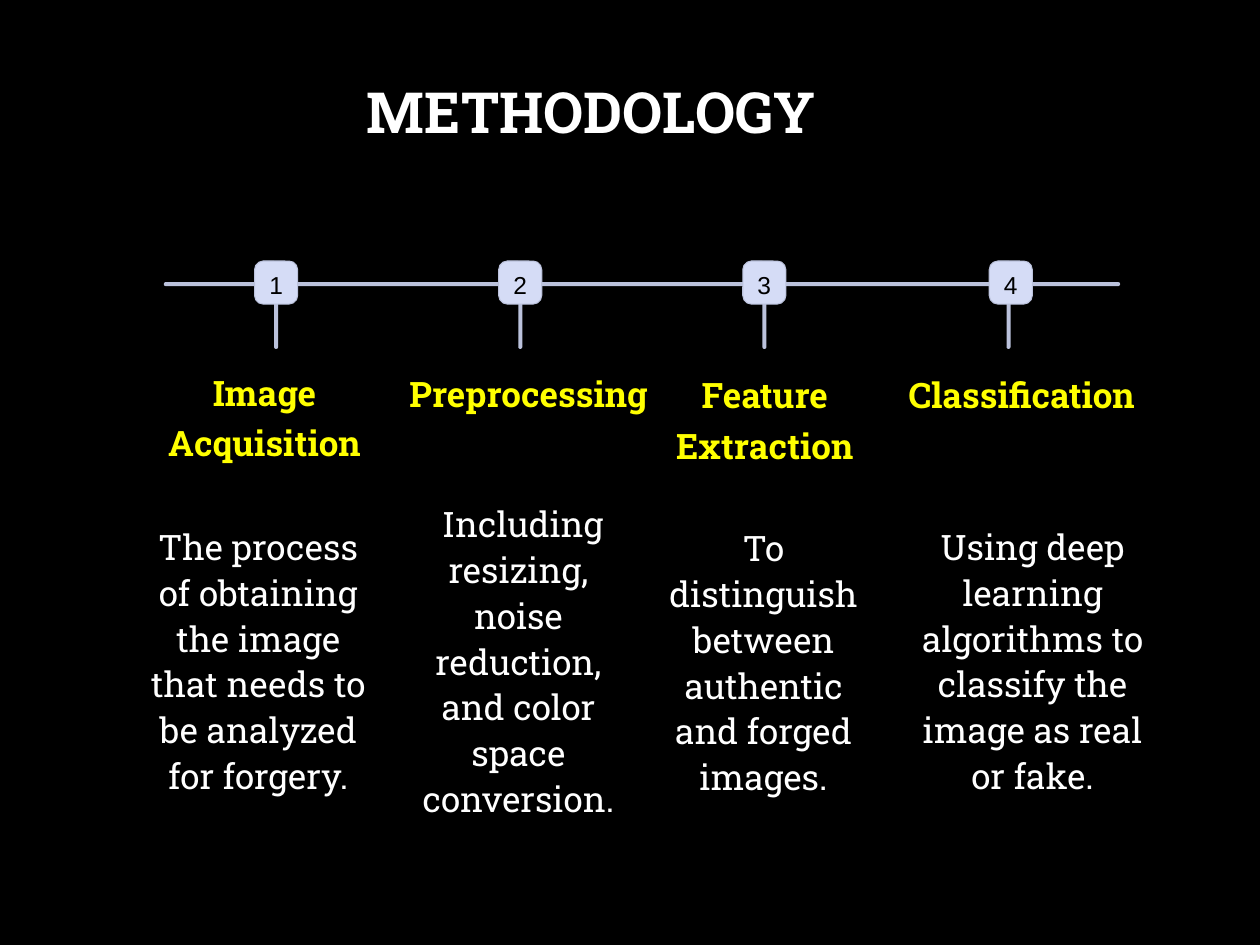
from pptx import Presentation
from pptx.dml.color import RGBColor
from pptx.enum.shapes import MSO_SHAPE
from pptx.enum.text import MSO_ANCHOR, PP_ALIGN
from pptx.util import Pt

ROUNDED = MSO_SHAPE.ROUNDED_RECTANGLE
MIDDLE = MSO_ANCHOR.MIDDLE
CENTER = PP_ALIGN.CENTER

BLACK = RGBColor(0x00, 0x00, 0x00)
WHITE = RGBColor(0xFF, 0xFF, 0xFF)
YELLOW = RGBColor(0xFF, 0xFF, 0x00)
RAIL = RGBColor(0xBB, 0xC2, 0xDC)
BADGE = RGBColor(0xD5, 0xDC, 0xF6)

SLAB = "Roboto Slab"
TITLE_FONT = {"name": SLAB, "size": Pt(32.4), "bold": True}
HEADING_FONT = {"name": SLAB, "size": Pt(20), "bold": True}
BODY_FONT = {"name": SLAB, "size": Pt(20), "bold": False}
NUMBER_FONT = {"name": "Arial", "size": Pt(14), "bold": False}

RAIL_TOP = 161.2
RAIL_WIDTH = 2.3
STEM_HEIGHT = 38.2
FIRST_STEM = 157.8
STEM_PITCH = 139.5
BADGE_SIZE = 24.6
BADGE_TOP = 149.2

# badge centre, heading, (left, top, width, height), body, (left, top, width, height)
STEPS = [
    (157.8, "Image Acquisition", (71.3, 203.8, 159.8, 63.4),
     "The process of obtaining the image that needs to be analyzed for forgery.",
     (74.2, 294.5, 146.9, 163.4)),
    (297.3, "Preprocessing", (220.3, 204.5, 163.4, 33.8),
     " Including resizing, noise reduction, and color space conversion.",
     (232.6, 281.5, 127.4, 189.4)),
    (436.8, "Feature Extraction", (356.4, 205.2, 161.3, 63.4),
     "To distinguish between authentic and forged images.",
     (373, 295.2, 126.7, 163.4)),
    (577.6, "Classification", (500.4, 205.2, 167, 33.8),
     "Using deep learning algorithms to classify the image as real or fake.",
     (513.4, 294.5, 153.4, 163.4)),
]


def write(tf, text, font, color, spacing=None):
    tf.word_wrap = True
    p = tf.paragraphs[0]
    p.alignment = CENTER
    p.line_spacing = spacing
    r = p.add_run()
    r.text = text
    for name, value in font.items():
        setattr(r.font, name, value)
    r.font.color.rgb = color


def add_title(slide, text):
    sp = slide.shapes.title
    sp.left, sp.top, sp.width, sp.height = Pt(20.2), Pt(37.4), Pt(635), Pt(56.9)
    sp.text_frame.vertical_anchor = MIDDLE
    write(sp.text_frame, text, TITLE_FONT, WHITE, 0.9)


def add_rounded(slide, left, top, width, height, color, corner):
    sp = slide.shapes.add_shape(ROUNDED, Pt(left), Pt(top), Pt(width), Pt(height))
    sp.adjustments[0] = corner
    sp.shadow.inherit = False
    sp.fill.solid()
    sp.fill.fore_color.rgb = color
    sp.line.fill.background()
    return sp


def add_bar(slide, left, top, width, height):
    add_rounded(slide, left, top, width, height, RAIL, 0.5)


def add_badge(slide, center, number):
    sp = add_rounded(slide, center - BADGE_SIZE / 2, BADGE_TOP,
                     BADGE_SIZE, BADGE_SIZE, BADGE, 0.2)
    sp.line.color.rgb = RAIL
    sp.line.width = Pt(0.6)
    tf = sp.text_frame
    tf.margin_left = tf.margin_right = tf.margin_bottom = 0
    tf.margin_top = Pt(3)
    tf.vertical_anchor = MIDDLE
    write(tf, str(number), NUMBER_FONT, BLACK)


def add_text(slide, box, text, font, color, spacing):
    sp = slide.shapes.add_textbox(*map(Pt, box))
    write(sp.text_frame, text, font, color, spacing)


def main():
    prs = Presentation()
    prs.slide_width, prs.slide_height = Pt(720), Pt(540)
    slide = prs.slides.add_slide(prs.slide_layouts[5])
    slide.background.fill.solid()
    slide.background.fill.fore_color.rgb = BLACK

    add_title(slide, "METHODOLOGY")
    add_bar(slide, 93.6, RAIL_TOP, 546.5, RAIL_WIDTH)
    for i, (center, heading, heading_box, body, body_box) in enumerate(STEPS):
        stem = FIRST_STEM + i * STEM_PITCH
        add_bar(slide, stem - RAIL_WIDTH / 2, RAIL_TOP, RAIL_WIDTH, STEM_HEIGHT)
        add_badge(slide, center, i + 1)
        add_text(slide, heading_box, heading, HEADING_FONT, YELLOW, Pt(28.8))
        add_text(slide, body_box, body, BODY_FONT, WHITE, Pt(26.2))

    prs.save("out.pptx")


if __name__ == "__main__":
    main()
